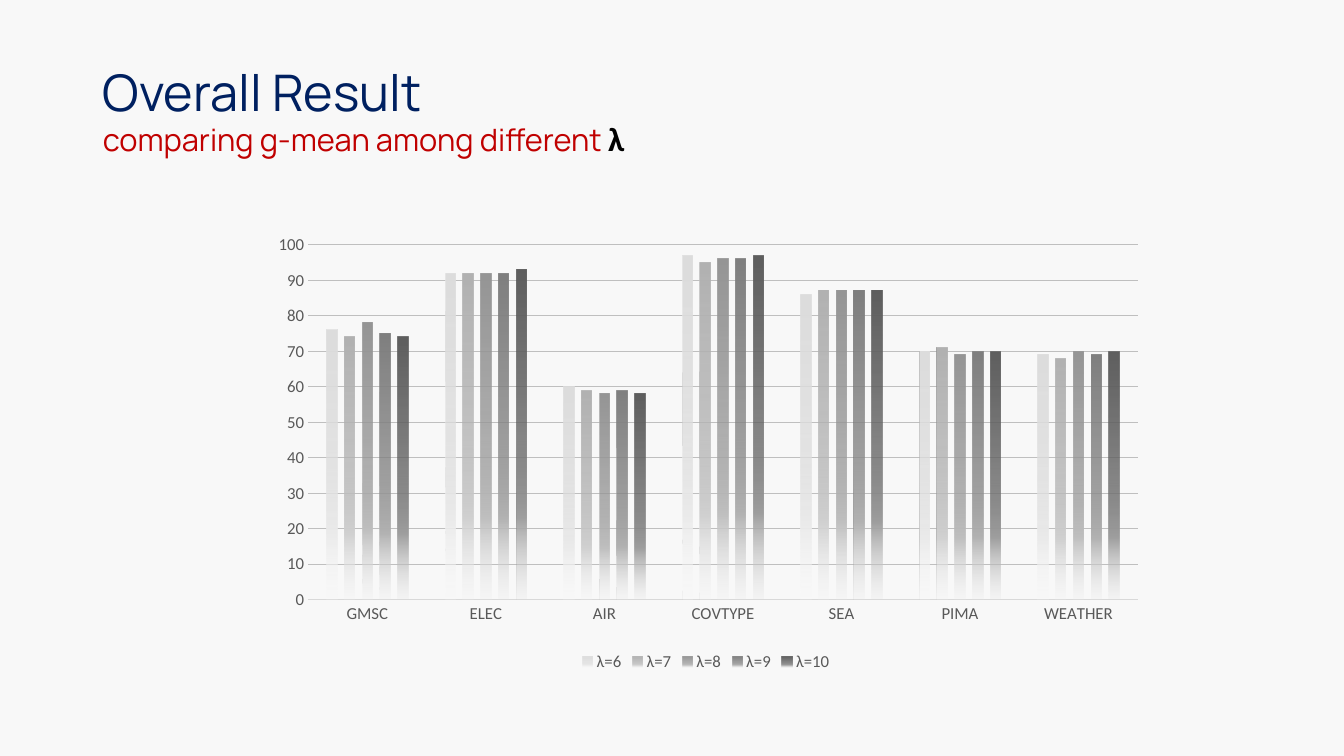
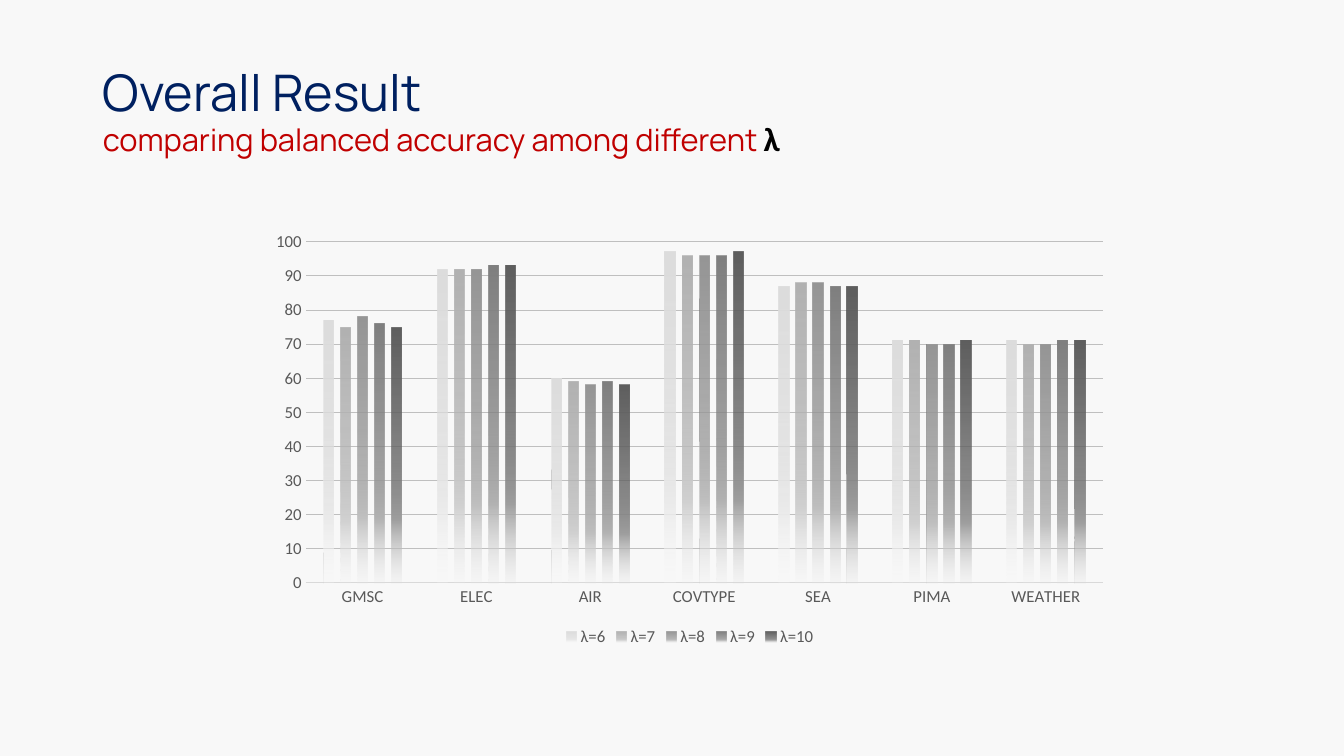
"""Build two slides of column charts comparing results among values of λ."""
from pptx import Presentation
from pptx.chart.data import CategoryChartData
from pptx.dml.color import RGBColor
from pptx.enum import chart as charts, text
from pptx.oxml import parse_xml
from pptx.oxml.ns import nsdecls
from pptx.util import Pt

EMU_PER_INCH, PX_PER_INCH = 914400, 100.8
PAGE_SIZE = (1344, 756)
TITLE_BOX = (93, 40, 1159, 146)
COLORS = {
    "page": "F8F8F8", "title": "002060", "subtitle": "C00000", "symbol": "000000",
    "label": "595959", "axis": "D9D9D9", "grid": "BFBFBF",
}
TITLE = "Overall Result"
CATEGORIES = ["GMSC", "ELEC", "AIR", "COVTYPE", "SEA", "PIMA", "WEATHER"]
SERIES = [
    ("λ=6", ("DDDDDD", "EBEBEB", "F8F8F8")),
    ("λ=7", ("B2B2B2", "D1D1D1", "F0F0F0")),
    ("λ=8", ("969696", "C0C0C0", "EAEAEA")),
    ("λ=9", ("808080", "B3B3B3", "E6E6E6")),
    ("λ=10", ("5F5F5F", "9F9F9F", "DFDFDF")),
]
SLIDES = [
    {
        "subtitle": "comparing g-mean among different ",
        "chart": (258, 225, 896, 451),
        "plot": (308, 245, 830, 355),
        "values": [
            (76, 92, 60, 97, 86, 70, 69),
            (74, 92, 59, 95, 87, 71, 68),
            (78, 92, 58, 96, 87, 69, 70),
            (75, 92, 59, 96, 87, 70, 69),
            (74, 93, 58, 97, 87, 70, 70),
        ],
    },
    {
        "subtitle": "comparing balanced accuracy among different ",
        "chart": (260, 224, 860, 427),
        "plot": (306, 242, 797, 341),
        "values": [
            (77, 92, 60, 97, 87, 71, 71),
            (75, 92, 59, 96, 88, 71, 70),
            (78, 92, 58, 96, 88, 70, 70),
            (76, 93, 59, 96, 87, 70, 71),
            (75, 93, 58, 97, 87, 71, 71),
        ],
    },
]


def px(*lengths):
    return [round(length * EMU_PER_INCH / PX_PER_INCH) for length in lengths]


def color(name):
    return RGBColor.from_string(COLORS[name])


def style_font(font, name, size, color_name, bold=False):
    font.name, font.size, font.bold = name, Pt(size), bold
    font.color.rgb = color(color_name)


def style_line(line, color_name):
    line.color.rgb = color(color_name)
    line.width = Pt(0.75)


def add_title(page, subtitle):
    frame = page.shapes.add_textbox(*px(*TITLE_BOX)).text_frame
    frame.word_wrap = True
    frame.vertical_anchor = text.MSO_ANCHOR.MIDDLE
    para = frame.paragraphs[0]
    para.line_spacing = 0.9
    para.text = f"{TITLE}\n{subtitle}"
    para.add_run().text = "λ"
    heading, detail, symbol = para.runs
    style_font(heading.font, "Manrope", 36, "title")
    style_font(detail.font, "Manrope", 22, "subtitle")
    style_font(symbol.font, "Calibri", 24, "symbol", bold=True)


def fade(series, shades):
    top, middle, bottom = shades
    stops = [(0, top, 100), (51, top, 75), (75, middle, 100), (100, bottom, 15)]
    stop_xml = "".join(
        f'<a:gs pos="{position * 1000}"><a:srgbClr val="{shade}">'
        f'<a:alpha val="{alpha * 1000}"/></a:srgbClr></a:gs>'
        for position, shade, alpha in stops
    )
    series._element.get_or_add_spPr().append(parse_xml(
        f'<a:gradFill {nsdecls("a")}><a:gsLst>{stop_xml}</a:gsLst>'
        '<a:lin ang="5400000" scaled="0"/></a:gradFill>'
    ))


def place_plot(chart, chart_box, plot_box):
    left, top, width, height = chart_box
    x, y, w, h = plot_box
    fractions = {
        "x": (x - left) / width, "y": (y - top) / height,
        "w": w / width, "h": h / height,
    }
    sizes = "".join(f'<c:{key} val="{value:.3f}"/>' for key, value in fractions.items())
    plot_area = chart._chartSpace.chart.plotArea
    for layout in plot_area.findall("{*}layout"):
        plot_area.remove(layout)
    plot_area.insert(0, parse_xml(
        f'<c:layout {nsdecls("c")}><c:manualLayout><c:layoutTarget val="inner"/>'
        f'<c:xMode val="edge"/><c:yMode val="edge"/>{sizes}</c:manualLayout></c:layout>'
    ))


def style_axes(chart):
    category_axis, value_axis = chart.category_axis, chart.value_axis
    for axis in (category_axis, value_axis):
        axis.major_tick_mark = axis.minor_tick_mark = charts.XL_TICK_MARK.NONE
        style_font(axis.tick_labels.font, "Calibri", 12, "label")
    style_line(category_axis.format.line, "axis")
    value_axis.minimum_scale, value_axis.maximum_scale = 0, 100
    value_axis.major_unit = 10
    value_axis.format.line.fill.background()
    style_line(value_axis.major_gridlines.format.line, "grid")


def add_column_chart(page, content):
    data = CategoryChartData()
    data.categories = CATEGORIES
    for (name, _), values in zip(SERIES, content["values"]):
        data.add_series(name, values)
    chart = page.shapes.add_chart(
        charts.XL_CHART_TYPE.COLUMN_CLUSTERED, *px(*content["chart"]), data
    ).chart
    chart.has_title = False
    style_font(chart.font, "Calibri", 10, "symbol")
    chart.has_legend = True
    chart.legend.position = charts.XL_LEGEND_POSITION.BOTTOM
    chart.legend.include_in_layout = False
    style_font(chart.legend.font, "Calibri", 12, "label")
    style_axes(chart)
    plot = chart.plots[0]
    plot.gap_width, plot.overlap = 355, -70
    plot.vary_by_categories = False
    for series, (_, shades) in zip(plot.series, SERIES):
        fade(series, shades)
    place_plot(chart, content["chart"], content["plot"])


def main():
    deck = Presentation()
    deck.slide_width, deck.slide_height = px(*PAGE_SIZE)
    background = deck.slide_master.background.fill
    background.solid()
    background.fore_color.rgb = color("page")
    for content in SLIDES:
        page = deck.slides.add_slide(deck.slide_layouts[6])
        add_title(page, content["subtitle"])
        add_column_chart(page, content)
    deck.save("out.pptx")


if __name__ == "__main__":
    main()
